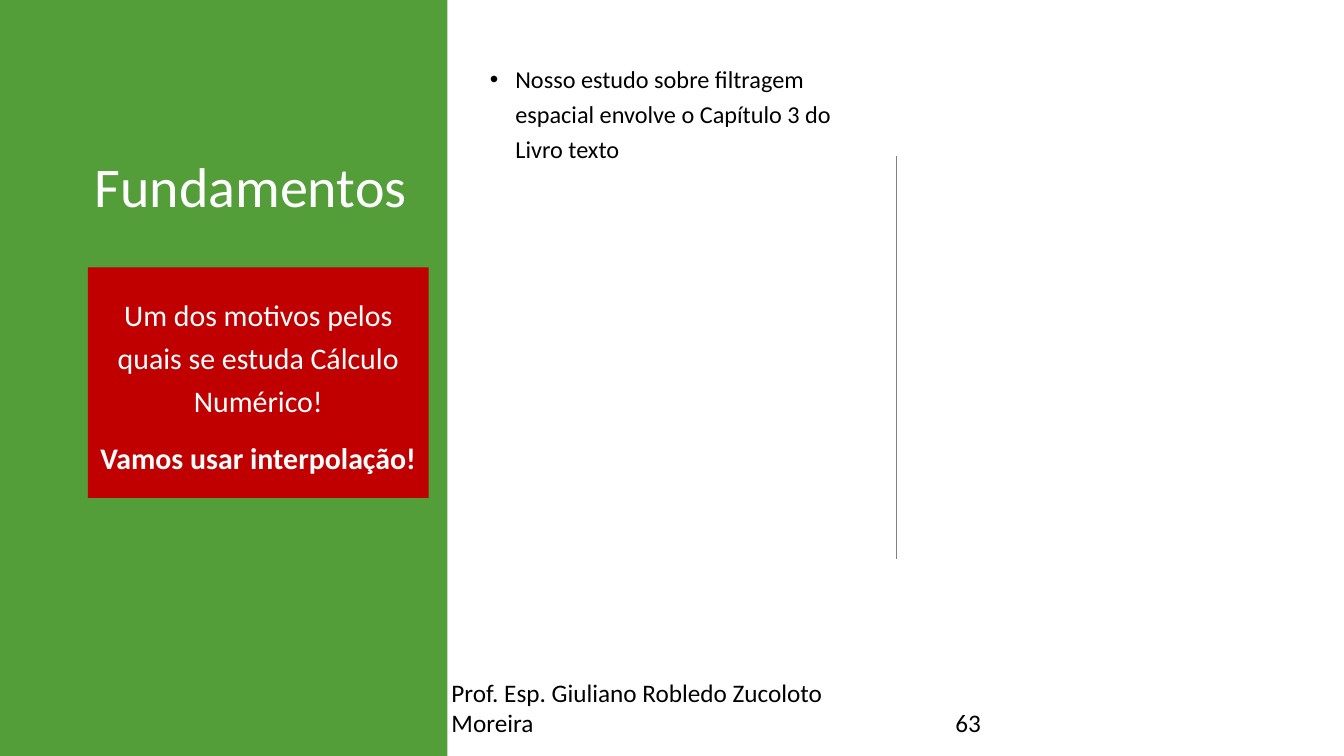
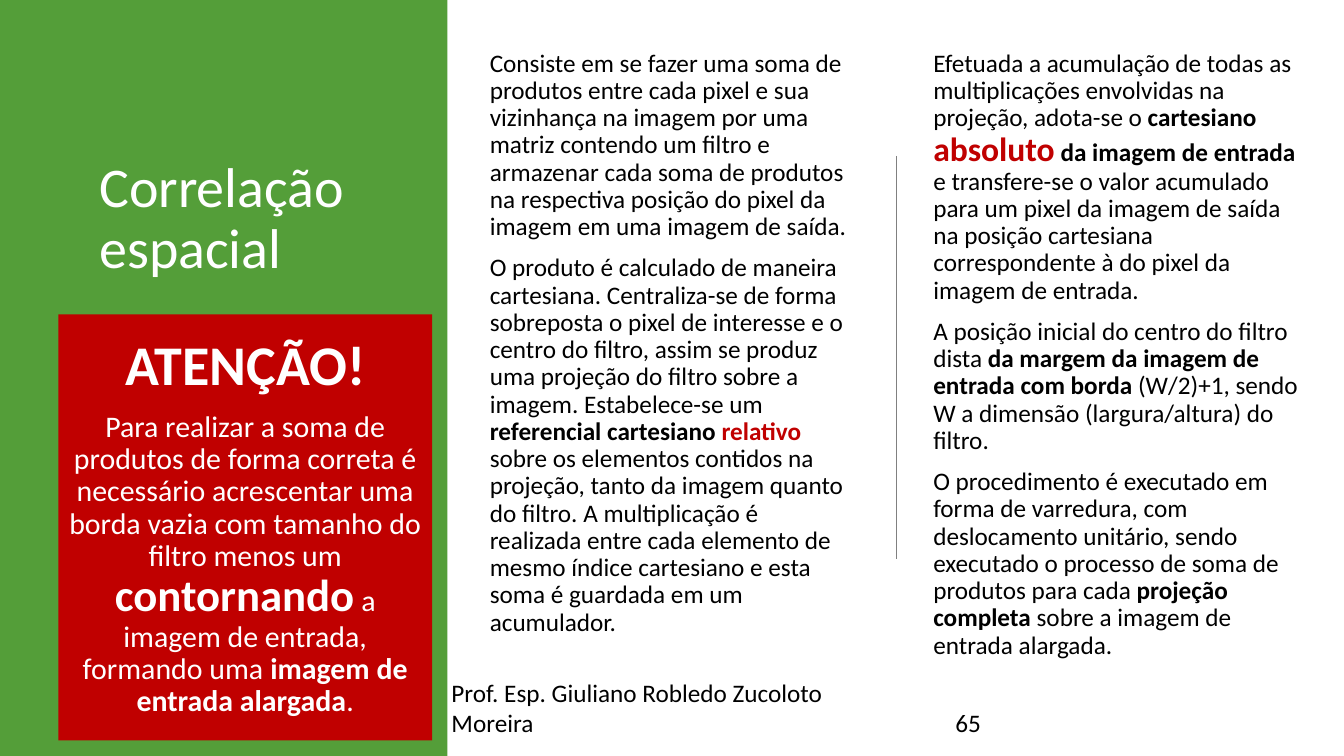
from dataclasses import dataclass
from typing import Optional

from lxml.etree import SubElement
from pptx import Presentation
from pptx.dml.color import RGBColor
from pptx.enum.shapes import MSO_CONNECTOR, MSO_SHAPE
from pptx.enum.text import MSO_ANCHOR, PP_ALIGN
from pptx.oxml.ns import qn
from pptx.util import Inches, Pt

GREEN = RGBColor(0x54, 0x9E, 0x39)
RED = RGBColor(0xC0, 0x00, 0x00)
GRAY = RGBColor(0x80, 0x80, 0x80)
BLACK = RGBColor(0x00, 0x00, 0x00)
WHITE = RGBColor(0xFF, 0xFF, 0xFF)

FONT = "Calibri"
AUTHOR = "Prof. Esp. Giuliano Robledo Zucoloto Moreira"
TITLE_SIZE = 60
FOOTER_SIZE = 27
CALLOUT_SIZE = 32
PARAGRAPH_GAP = 15
BULLET_INDENT = Inches(0.38)


@dataclass(frozen=True)
class Box:
    left: float
    top: float
    width: float
    height: float

    def lengths(self) -> tuple:
        return tuple(Inches(n) for n in (self.left, self.top, self.width, self.height))


@dataclass(frozen=True)
class Piece:
    """A stretch of text; size and colour default to those of its style."""
    text: str
    bold: bool = False
    size: Optional[int] = None
    color: Optional[RGBColor] = None


@dataclass(frozen=True)
class Style:
    size: int
    color: RGBColor = BLACK
    line_spacing: float = 0.9
    align: PP_ALIGN = PP_ALIGN.LEFT
    anchor: MSO_ANCHOR = MSO_ANCHOR.TOP
    bulleted: bool = False


@dataclass(frozen=True)
class TextBlock:
    box: Box
    style: Style
    paragraphs: list[list[Piece]]


@dataclass(frozen=True)
class Lesson:
    title: str
    title_box: Box
    columns: list[TextBlock]
    callout: TextBlock
    number: int


TITLE_STYLE = Style(TITLE_SIZE, WHITE)
COLUMN_STYLE = Style(27)
BULLET_STYLE = Style(26, line_spacing=1.2, bulleted=True)
FOOTER_STYLE = Style(FOOTER_SIZE, line_spacing=1.0, anchor=MSO_ANCHOR.BOTTOM)


def callout_style(line_spacing: float) -> Style:
    return Style(CALLOUT_SIZE, WHITE, line_spacing, PP_ALIGN.CENTER, MSO_ANCHOR.MIDDLE)


def add_bullet(paragraph) -> None:
    properties = paragraph._p.get_or_add_pPr()
    properties.set("marL", str(BULLET_INDENT))
    properties.set("indent", str(-BULLET_INDENT))
    SubElement(properties, qn("a:buFont")).set("typeface", "Arial")
    SubElement(properties, qn("a:buChar")).set("char", "•")


def write_text(shape, style: Style, paragraphs: list[list[Piece]]) -> None:
    text_frame = shape.text_frame
    text_frame.word_wrap = True
    text_frame.vertical_anchor = style.anchor
    for index, pieces in enumerate(paragraphs):
        paragraph = text_frame.add_paragraph() if index else text_frame.paragraphs[0]
        if style.bulleted:
            add_bullet(paragraph)
        paragraph.alignment = style.align
        paragraph.line_spacing = style.line_spacing
        if index:
            paragraph.space_before = Pt(PARAGRAPH_GAP)
        for piece in pieces:
            run = paragraph.add_run()
            run.text = piece.text
            run.font.name = FONT
            run.font.size = Pt(piece.size or style.size)
            run.font.bold = piece.bold
            run.font.color.rgb = piece.color or style.color


def add_text(slide, block: TextBlock) -> None:
    shape = slide.shapes.add_textbox(*block.box.lengths())
    write_text(shape, block.style, block.paragraphs)


def add_rectangle(slide, box: Box, color: RGBColor):
    shape = slide.shapes.add_shape(MSO_SHAPE.RECTANGLE, *box.lengths())
    shape.shadow.inherit = False
    shape.fill.solid()
    shape.fill.fore_color.rgb = color
    shape.line.fill.background()
    return shape


def add_divider(slide) -> None:
    x = Inches(13.34)
    line = slide.shapes.add_connector(
        MSO_CONNECTOR.STRAIGHT, x, Inches(2.32), x, Inches(8.32))
    line.line.color.rgb = GRAY
    line.line.width = Pt(1)
    SubElement(line._element.spPr, qn("a:effectLst"))


def add_footer(slide, number: int) -> None:
    for left, width, text in ((6.62, 6.75, AUTHOR), (14.12, 4.5, str(number))):
        add_text(slide, TextBlock(Box(left, 10.43, width, 0.6), FOOTER_STYLE, [[Piece(text)]]))


def add_lesson(presentation, lesson: Lesson) -> None:
    slide = presentation.slides.add_slide(presentation.slide_layouts[6])
    # Side panel and title
    add_rectangle(slide, Box(0, 0, 6.66, 11.25), GREEN)
    add_text(slide, TextBlock(lesson.title_box, TITLE_STYLE, [[Piece(lesson.title)]]))
    # Content columns
    add_divider(slide)
    for column in lesson.columns:
        add_text(slide, column)
    add_footer(slide, lesson.number)
    # Red callout on the panel
    callout = add_rectangle(slide, lesson.callout.box, RED)
    write_text(callout, lesson.callout.style, lesson.callout.paragraphs)


def column_box(left: float, top: float) -> Box:
    return Box(left, top, 5.62, 9.61)


FUNDAMENTALS = Lesson(
    title="Fundamentos",
    title_box=Box(1.31, 2.32, 4.92, 7.16),
    columns=[TextBlock(column_box(7.19, 0.82), BULLET_STYLE, [
        [Piece("Nosso estudo sobre filtragem espacial envolve o Capítulo 3 do Livro texto")],
    ])],
    callout=TextBlock(Box(1.31, 3.98, 5.07, 3.43), callout_style(1.2), [
        [Piece("Um dos motivos pelos quais se estuda Cálculo Numérico!")],
        [Piece("Vamos usar interpolação!", bold=True)],
    ]),
    number=63,
)

CORRELATION = Lesson(
    title="Correlação espacial",
    title_box=Box(1.38, 2.32, 4.76, 7.16),
    columns=[
        TextBlock(column_box(7.19, 0.7), COLUMN_STYLE, [
            [Piece("Consiste em se fazer uma soma de produtos entre cada pixel e sua "
                   "vizinhança na imagem por uma matriz contendo um filtro e armazenar "
                   "cada soma de produtos na respectiva posição do pixel da imagem em "
                   "uma imagem de saída.")],
            [Piece("O produto é calculado de maneira cartesiana. Centraliza-se de forma "
                   "sobreposta o pixel de interesse e o centro do filtro, assim se produz "
                   "uma projeção do filtro sobre a imagem. Estabelece-se um "),
             Piece("referencial cartesiano ", bold=True),
             Piece("relativo", bold=True, color=RED),
             Piece(" sobre os elementos contidos na projeção, tanto da imagem quanto do "
                   "filtro. A multiplicação é realizada entre cada elemento de mesmo "
                   "índice cartesiano e esta soma é guardada em um acumulador.")],
        ]),
        TextBlock(column_box(13.79, 0.7), COLUMN_STYLE, [
            [Piece("Efetuada a acumulação de todas as multiplicações envolvidas na "
                   "projeção, adota-se o "),
             Piece("cartesiano ", bold=True),
             Piece("absoluto", bold=True, size=36, color=RED),
             Piece(" da imagem de entrada", bold=True),
             Piece(" e transfere-se o valor acumulado para um pixel da imagem de saída "
                   "na posição cartesiana correspondente à do pixel da imagem de entrada.")],
            [Piece("A posição inicial do centro do filtro dista "),
             Piece("da margem da imagem de entrada com borda", bold=True),
             Piece(" (W/2)+1, sendo W a dimensão (largura/altura) do filtro.")],
            [Piece("O procedimento é executado em forma de varredura, com deslocamento "
                   "unitário, sendo executado o processo de soma de produtos para cada "),
             Piece("projeção completa ", bold=True),
             Piece("sobre a imagem de entrada alargada.")],
        ]),
    ],
    callout=TextBlock(Box(0.87, 4.68, 5.56, 6.34), callout_style(0.9), [
        [Piece("ATENÇÃO!", bold=True, size=60)],
        [Piece("Para realizar a soma de produtos de forma correta é necessário "
               "acrescentar uma borda vazia com tamanho do filtro menos um "),
         Piece("contornando", bold=True, size=48),
         Piece(" a imagem de entrada, formando uma "),
         Piece("imagem de entrada alargada", bold=True),
         Piece(".")],
    ]),
    number=65,
)


def main() -> None:
    presentation = Presentation()
    presentation.slide_width = Inches(20)
    presentation.slide_height = Inches(11.25)
    for lesson in (FUNDAMENTALS, CORRELATION):
        add_lesson(presentation, lesson)
    presentation.save("out.pptx")


if __name__ == "__main__":
    main()
